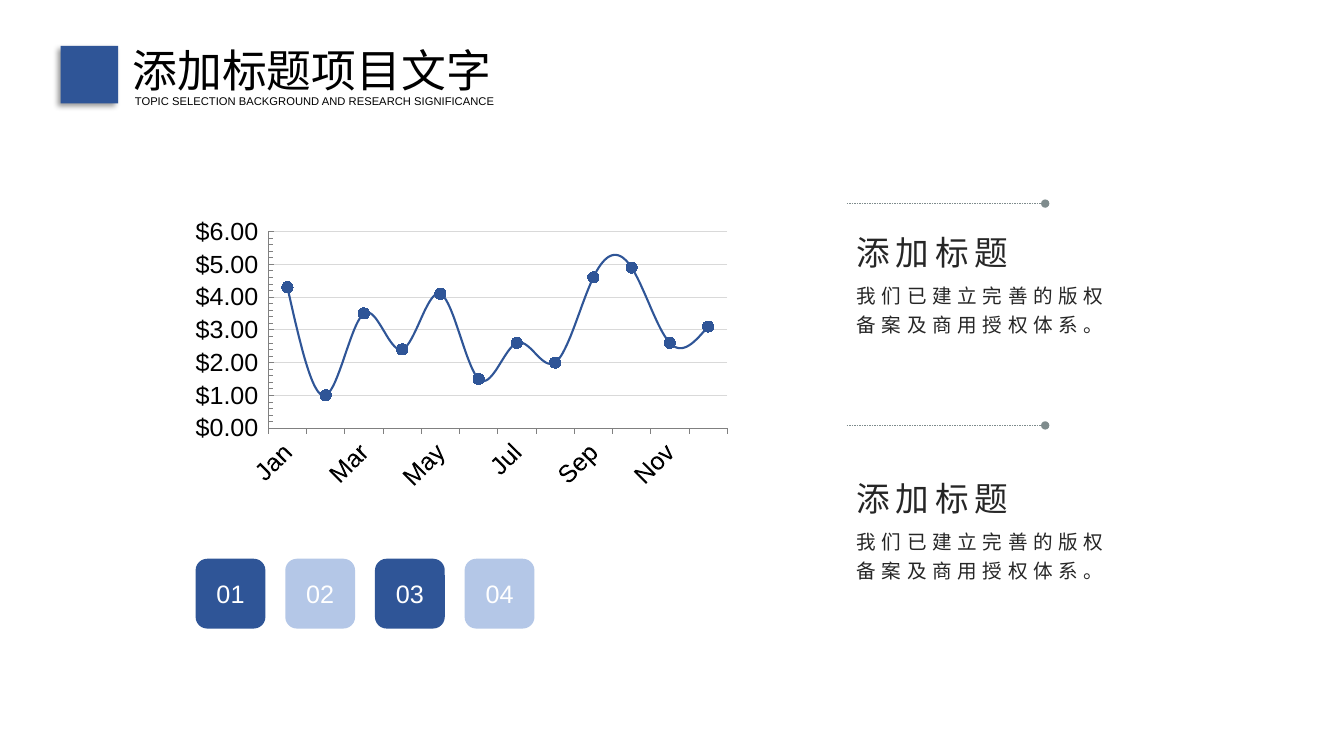
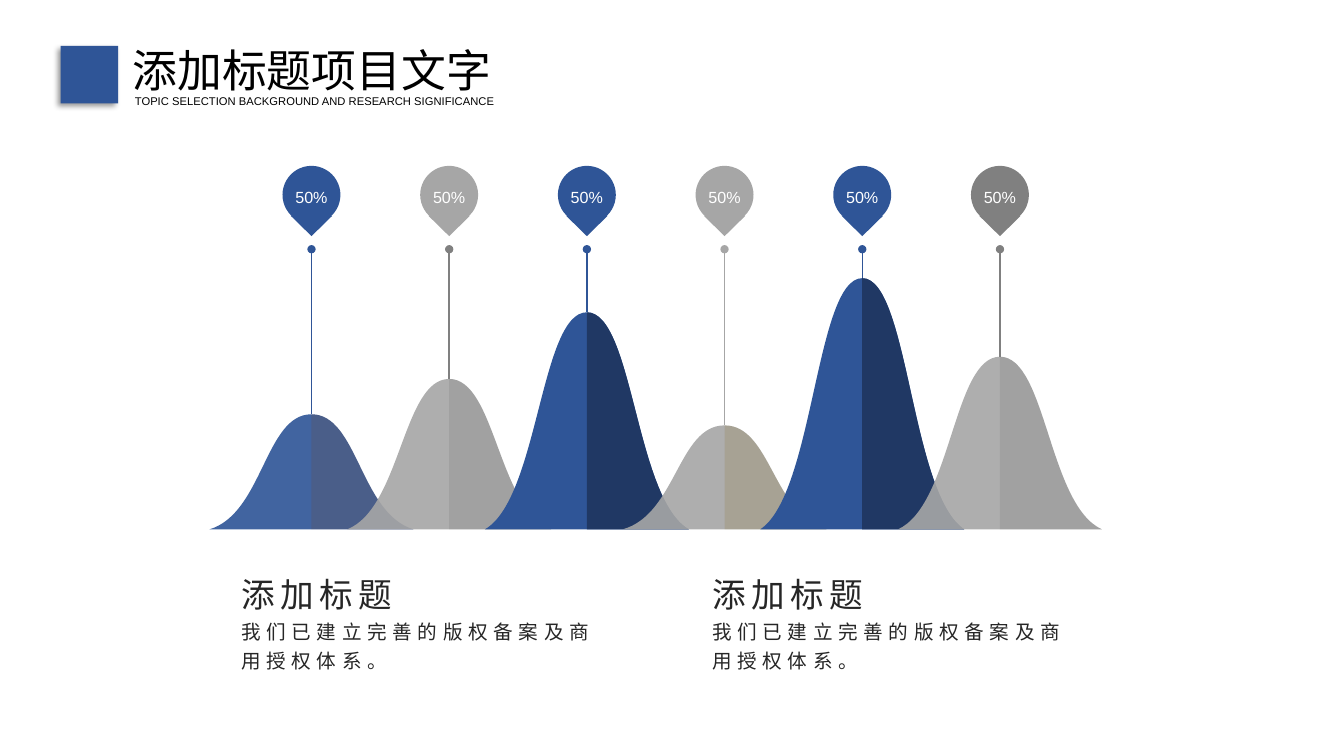
from dataclasses import dataclass

from lxml.etree import SubElement
from pptx import Presentation
from pptx.chart.data import CategoryChartData
from pptx.dml.color import RGBColor
from pptx.enum.chart import XL_CHART_TYPE as Chart, XL_MARKER_STYLE as Marker
from pptx.enum.chart import XL_TICK_LABEL_POSITION as LabelPos, XL_TICK_MARK as Tick
from pptx.enum.dml import MSO_LINE
from pptx.enum.shapes import MSO_CONNECTOR, MSO_SHAPE as Shape
from pptx.enum.text import MSO_ANCHOR, PP_ALIGN as Align
from pptx.oxml import parse_xml
from pptx.oxml.ns import nsdecls, qn
from pptx.util import Cm, Pt


@dataclass(frozen=True)
class Theme:
    font: str = "Arial"
    blue: str = "2F5597"
    navy: str = "203864"
    pale: str = "B4C7E7"
    silver: str = "A6A6A6"
    gray: str = "808080"
    charcoal: str = "595959"
    olive: str = "806000"
    rust: str = "843C0B"
    slate: str = "7F8C8D"
    grid: str = "D9D9D9"
    ink: str = "262626"
    black: str = "000000"
    white: str = "FFFFFF"
    title: float = 32
    subtitle: float = 8
    heading: float = 24
    body: float = 14
    label: float = 18
    pin: float = 11.5


T = Theme()
rgb = RGBColor.from_string


def paint(sp, color, opacity=100):
    """Give a shape a flat fill without outline or shadow."""
    sp.shadow.inherit = False
    sp.line.fill.background()
    sp.fill.solid()
    sp.fill.fore_color.rgb = rgb(color)
    if opacity < 100:
        clr = sp._element.spPr.find(qn("a:solidFill"))[0]
        SubElement(clr, qn("a:alpha")).set("val", str(opacity * 1000))


def write(sp, text, size, color, align=Align.LEFT, leading=None, tracking=0):
    """Put one run of text into a shape or text box."""
    tf = sp.text_frame
    tf.word_wrap = True
    p = tf.paragraphs[0]
    p.alignment = align
    if leading:
        p.line_spacing = leading
    r = p.add_run()
    r.text = text
    r.font.name = T.font
    r.font.size = Pt(size)
    r.font.color.rgb = rgb(color)
    if tracking:
        r._r.get_or_add_rPr().set("spc", str(tracking * 100))


prs = Presentation()
prs.slide_width, prs.slide_height = Cm(33.87), Cm(19.05)
chart_slide, bell_slide = [prs.slides.add_slide(prs.slide_layouts[6]) for _ in range(2)]

# Shared header
for s in (chart_slide, bell_slide):
    sp = s.shapes.add_textbox(Cm(3.09), Cm(0.94), Cm(10.13), Cm(1.62))
    write(sp, "添加标题项目文字", T.title, T.black, Align.JUSTIFY)
    sp = s.shapes.add_textbox(Cm(3.15), Cm(2.26), Cm(11.66), Cm(0.6))
    write(sp, "TOPIC SELECTION BACKGROUND AND RESEARCH SIGNIFICANCE",
          T.subtitle, T.black, Align.JUSTIFY)
    sp = s.shapes.add_shape(Shape.RECTANGLE, Cm(1.53), Cm(1.16), Cm(1.45), Cm(1.45))
    paint(sp, T.blue)
    sp._element.spPr.find(qn("a:effectLst")).append(parse_xml(
        f'<a:outerShdw {nsdecls("a")} blurRad="50800" dist="38100" dir="8100000" '
        f'algn="tr" rotWithShape="0"><a:srgbClr val="{T.black}">'
        '<a:alpha val="40000"/></a:srgbClr></a:outerShdw>'))

# Line chart
data = CategoryChartData()
data.categories = "Jan Feb Mar Apr May Jun Jul Aug Sep Oct Nov Dec".split()
data.add_series("Series 1", (4.3, 1, 3.5, 2.4, 4.1, 1.5, 2.6, 2, 4.6, 4.9, 2.6, 3.1))
chart = chart_slide.shapes.add_chart(
    Chart.LINE_MARKERS_STACKED, Cm(4.93), Cm(4.52), Cm(13.67), Cm(7.85), data).chart
chart.has_legend = chart.has_title = False
chart.font.name, chart.font.size = T.font, Pt(T.label)
chart.font.color.rgb = rgb(T.black)
chart.plots[0].vary_by_categories = False

series = chart.plots[0].series[0]
series.smooth = True
series.format.line.color.rgb = rgb(T.blue)
series.format.line.width = Pt(1.5)
series.marker.style, series.marker.size = Marker.CIRCLE, 8
for fmt in (series.marker.format.fill, series.marker.format.line.fill):
    fmt.solid()
    fmt.fore_color.rgb = rgb(T.blue)

months, dollars = chart.category_axis, chart.value_axis
for axis in (months, dollars):
    axis.format.line.color.rgb = rgb(T.gray)
    axis.format.line.width = Pt(0.5)
    axis.tick_labels.font.size = Pt(T.label)
    axis.tick_labels.font.name = T.font
months.major_tick_mark = Tick.OUTSIDE
months._element.find(qn("c:txPr")).find(qn("a:bodyPr")).set("rot", "-2700000")
dollars.minimum_scale, dollars.maximum_scale = 0, 6
dollars.major_unit, dollars.minor_unit = 1, 0.2
dollars.major_tick_mark = dollars.minor_tick_mark = Tick.INSIDE
dollars.tick_label_position = LabelPos.LOW
dollars.tick_labels.number_format = "[$$-1009]#,##0.00"
dollars.tick_labels.number_format_is_linked = False
dollars.major_gridlines.format.line.color.rgb = rgb(T.grid)
dollars.major_gridlines.format.line.width = Pt(0.5)

# Plot position inside the chart frame
area = chart._chartSpace.chart.plotArea
for old in area.findall(qn("c:layout")):
    area.remove(old)
layout = parse_xml(f'<c:layout {nsdecls("c")}><c:manualLayout/></c:layout>')
for tag, val in (("layoutTarget", "inner"), ("xMode", "edge"), ("yMode", "edge"),
                 ("x", 0.13), ("y", 0.17), ("w", 0.85), ("h", 0.64)):
    SubElement(layout[0], qn(f"c:{tag}")).set("val", str(val))
area.insert(0, layout)

# Numbered tiles
for i, color in enumerate((T.blue, T.pale) * 2):
    sp = chart_slide.shapes.add_shape(
        Shape.ROUNDED_RECTANGLE, Cm(4.93 + 2.26 * i), Cm(14.08), Cm(1.76), Cm(1.76))
    paint(sp, color)
    sp.text_frame.vertical_anchor = MSO_ANCHOR.MIDDLE
    write(sp, f"{i + 1:02}", T.label, T.white, Align.CENTER)

# Leader lines: slide, start, end, colour, width, dash, end with the dot
leaders = [(chart_slide, (21.34, y), (26.34, y), T.slate, 0.25, MSO_LINE.DASH, "tailEnd")
           for y in (5.13, 10.72)]

# Bells with pins: top, fill, opacity, shade, shade opacity, pin, leader
bells = (
    (10.44, T.blue, 91, T.rust, 15, T.blue, T.blue),
    (9.55, T.silver, 91, T.charcoal, 15, T.silver, T.gray),
    (7.87, T.blue, 100, T.navy, 100, T.blue, T.blue),
    (10.72, T.silver, 91, T.olive, 15, T.silver, T.silver),
    (7.01, T.blue, 100, T.navy, 100, T.blue, T.blue),
    (8.99, T.silver, 91, T.charcoal, 15, T.gray, T.gray),
)
base = 13.34
for i, (top, fill, opacity, shade, shade_opacity, pin, leader) in enumerate(bells):
    cx = 7.85 + 3.47 * i
    bend = base - 0.14 * (base - top)

    # Each flank is one cubic curve between foot and peak
    flank = ((2.57, base), (1.22, bend), (1.17, top), (0, top))
    right = [(cx + dx, y) for dx, y in flank]
    left = [(cx - dx, y) for dx, y in reversed(flank)]
    for outline, color, alpha in ((left + right, fill, opacity),
                                  (right + [(cx, base)], shade, shade_opacity)):
        points = [(Cm(x), Cm(y)) for x, y in outline]
        builder = bell_slide.shapes.build_freeform(*points[0])
        builder.add_line_segments(points[1:], close=True)
        sp = builder.convert_to_shape()
        segments = list(sp._element.iter(qn("a:lnTo")))
        for curve in (segments[:3], segments[4:7]):
            if len(curve) == 3:
                bezier = parse_xml(f'<a:cubicBezTo {nsdecls("a")}/>')
                curve[0].addprevious(bezier)
                for segment in curve:
                    bezier.append(segment[0])
                    segment.getparent().remove(segment)
        paint(sp, color, alpha)

    # Pin
    sp = bell_slide.shapes.add_shape(
        Shape.ISOSCELES_TRIANGLE, Cm(cx - 0.52), Cm(5.44), Cm(1.04), Cm(0.51))
    sp.rotation = 180
    paint(sp, pin)
    sp = bell_slide.shapes.add_shape(
        Shape.OVAL, Cm(cx - 0.73), Cm(4.18), Cm(1.46), Cm(1.46))
    paint(sp, pin)
    tf = sp.text_frame
    tf.margin_left = tf.margin_right = tf.margin_top = tf.margin_bottom = 0
    tf.vertical_anchor = MSO_ANCHOR.MIDDLE
    write(sp, "50%", T.pin, T.white, Align.CENTER, leading=1.2)
    leaders.append((bell_slide, (cx, 6.28), (cx, top), leader, 1, None, "headEnd"))

for s, start, end, color, width, dash, dot in leaders:
    line = s.shapes.add_connector(MSO_CONNECTOR.STRAIGHT, *map(Cm, start + end))
    line.line.color.rgb = rgb(color)
    line.line.width = Pt(width)
    if dash:
        line.line.dash_style = dash
    SubElement(line.line._ln, qn(f"a:{dot}")).set("type", "oval")
    SubElement(line._element.spPr, qn("a:effectLst"))

# Text blocks: slide, left, top, drop to the body, body width
for s, x, y, drop, width in (
    (chart_slide, 21.34, 5.72, 1.16, 7.42),
    (chart_slide, 21.34, 11.91, 1.16, 7.42),
    (bell_slide, 5.83, 14.33, 1.01, 9.98),
    (bell_slide, 17.7, 14.33, 1.01, 9.98),
):
    sp = s.shapes.add_textbox(Cm(x), Cm(y), Cm(5.74), Cm(1.27))
    write(sp, "添加标题", T.heading, T.ink, tracking=4)
    sp = s.shapes.add_textbox(Cm(x), Cm(y + drop), Cm(width), Cm(1.75))
    write(sp, "我们已建立完善的版权备案及商用授权体系。", T.body, T.ink,
          leading=Pt(21), tracking=4)

prs.save("out.pptx")
